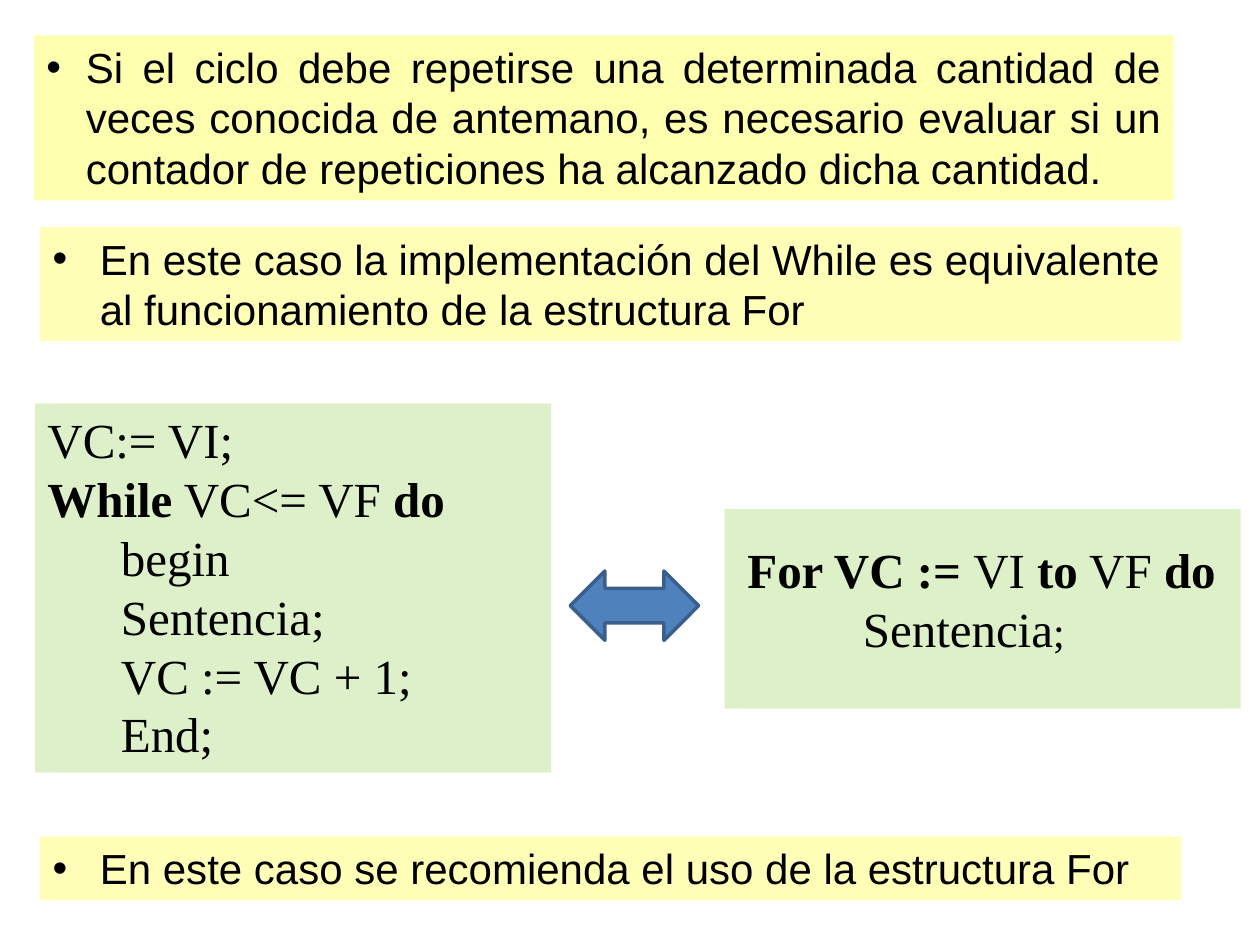
from dataclasses import dataclass

from lxml.etree import SubElement
from pptx import Presentation
from pptx.dml.color import RGBColor
from pptx.enum.shapes import MSO_SHAPE as Shape
from pptx.enum.text import PP_ALIGN as Align
from pptx.oxml.ns import qn
from pptx.util import Pt

COLORS = {
    "note": "FFFF00",
    "code": "92D050",
    "text": "000000",
    "arrow": "4F81BD",
    "arrow_line": "3A5F8C",
}


@dataclass(frozen=True)
class Panel:
    left: float
    top: float
    width: float
    height: float
    color: str
    opacity: int
    inset_top: float = 3.6


@dataclass(frozen=True)
class Note:
    panel: Panel
    text: str
    indent: float = 27
    align: Align = Align.LEFT


@dataclass(frozen=True)
class Span:
    text: str
    bold: bool = False
    size: float = 28


@dataclass(frozen=True)
class Line:
    spans: tuple[Span, ...]
    indent: float = 0


@dataclass(frozen=True)
class Code:
    panel: Panel
    lines: tuple[Line, ...]


NOTES = (
    Note(
        Panel(19.5, 20.2, 651, 94.3, "note", 31),
        "Si el ciclo debe repetirse una determinada cantidad de veces conocida "
        "de antemano, es necesario evaluar si un contador de repeticiones ha "
        "alcanzado dicha cantidad.",
        indent=22.5,
        align=Align.JUSTIFY,
    ),
    Note(
        Panel(23, 129.6, 652, 65.4, "note", 28),
        "En este caso la implementación del While es equivalente al "
        "funcionamiento de la estructura For",
    ),
    Note(
        Panel(23, 478, 652, 36.4, "note", 28),
        "En este caso se recomienda el uso de la estructura For",
    ),
)

BODY = ("begin", "Sentencia;", "VC := VC + 1;", "End;")

CODES = (
    Code(
        Panel(20, 230.6, 295, 211, "code", 30),
        (
            Line((Span("VC:= VI;"),)),
            Line((Span("While", True), Span(" VC<= VF "), Span("do", True))),
            *(Line((Span(text),), indent=42) for text in BODY),
        ),
    ),
    Code(
        Panel(414, 291, 295, 114, "code", 31, inset_top=17.5),
        (
            Line(
                (
                    Span("For VC := ", True),
                    Span("VI "),
                    Span("to", True),
                    Span(" VF "),
                    Span("do", True),
                ),
                indent=6,
            ),
            Line((Span("Sentencia"), Span(";", size=24)), indent=72),
        ),
    ),
)


def rgb(name: str) -> RGBColor:
    return RGBColor.from_string(COLORS[name])


def add_panel(page, panel: Panel):
    """Add a text box with a translucent fill and return its text frame."""
    box = page.shapes.add_textbox(
        Pt(panel.left), Pt(panel.top), Pt(panel.width), Pt(panel.height)
    )
    box.fill.solid()
    box.fill.fore_color.rgb = rgb(panel.color)
    color = box.element.spPr.find(".//" + qn("a:srgbClr"))
    SubElement(color, qn("a:alpha"), val=str(panel.opacity * 1000))
    frame = box.text_frame
    frame.word_wrap = True
    frame.margin_top = Pt(panel.inset_top)
    return frame


def set_indent(para, left: float, hanging: float = 0) -> None:
    props = para._p.get_or_add_pPr()
    props.set("marL", str(Pt(left)))
    props.set("indent", str(-Pt(hanging)))


def add_note(page, note: Note) -> None:
    para = add_panel(page, note.panel).paragraphs[0]
    para.text = note.text
    para.alignment = note.align
    para.font.name = "Arial"
    para.font.size = Pt(24)
    para.font.color.rgb = rgb("text")
    set_indent(para, note.indent, note.indent)
    props = para._p.get_or_add_pPr()
    bullet_font = props.makeelement(qn("a:buFont"), {"typeface": "Arial"})
    bullet = props.makeelement(qn("a:buChar"), {"char": "•"})
    props.insert(0, bullet_font)
    bullet_font.addnext(bullet)


def add_code(page, code: Code) -> None:
    frame = add_panel(page, code.panel)
    for number, line in enumerate(code.lines):
        para = frame.add_paragraph() if number else frame.paragraphs[0]
        set_indent(para, line.indent)
        para.font.name = "Times New Roman"
        para.font.color.rgb = rgb("text")
        for span in line.spans:
            run = para.add_run()
            run.text = span.text
            run.font.size = Pt(span.size)
            run.font.bold = span.bold


def add_equivalence_arrow(page) -> None:
    arrow = page.shapes.add_shape(
        Shape.UP_DOWN_ARROW, Pt(342.7), Pt(309.4), Pt(39.6), Pt(73.4)
    )
    arrow.rotation = 90
    arrow.shadow.inherit = False
    arrow.fill.solid()
    arrow.fill.fore_color.rgb = rgb("arrow")
    arrow.line.color.rgb = rgb("arrow_line")
    arrow.line.width = Pt(2)


def main() -> None:
    deck = Presentation()
    deck.slide_width, deck.slide_height = Pt(720), Pt(540)
    page = deck.slides.add_slide(deck.slide_layouts[6])
    for note in NOTES:
        add_note(page, note)
    for code in CODES:
        add_code(page, code)
    add_equivalence_arrow(page)
    deck.save("out.pptx")


if __name__ == "__main__":
    main()
